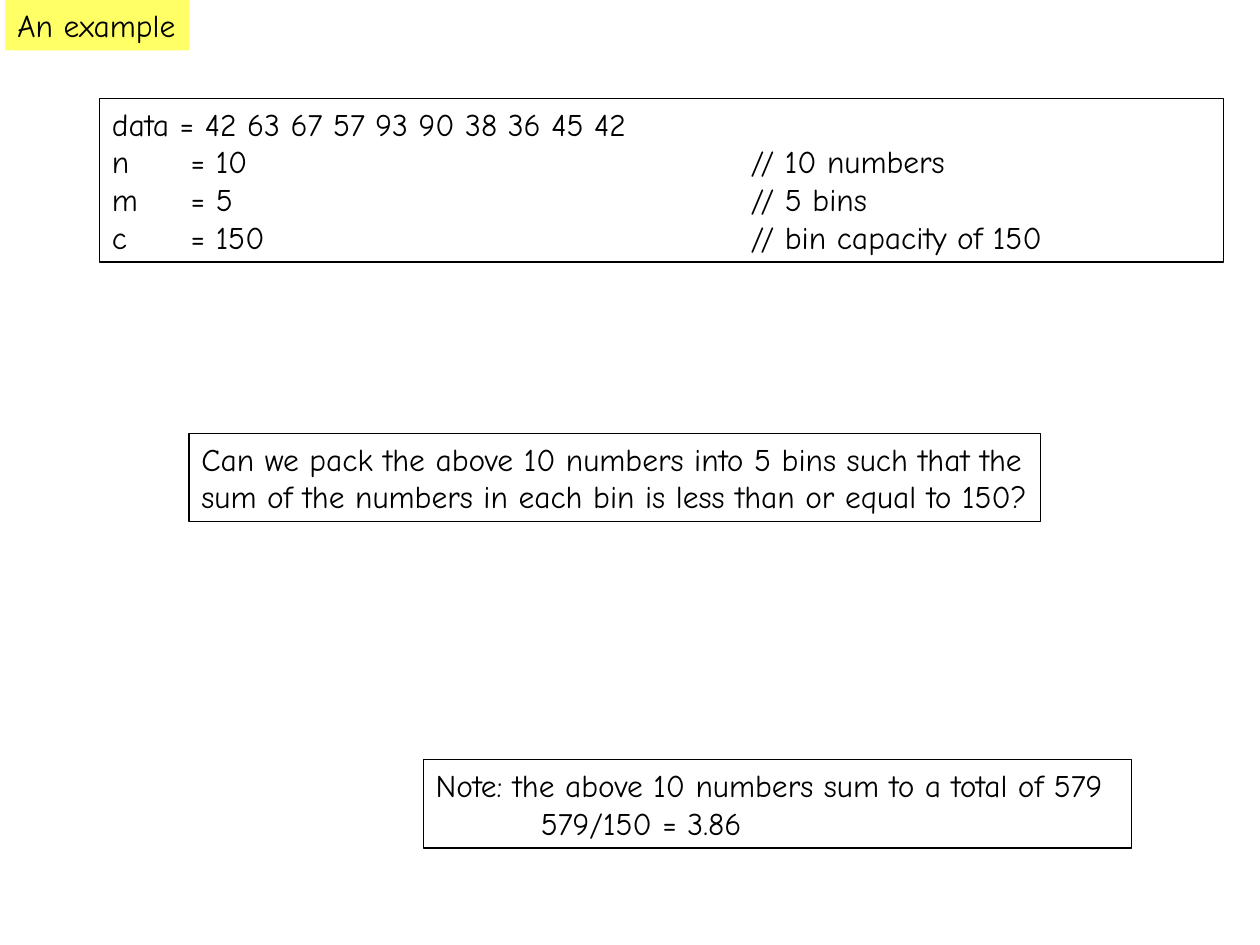
import pptx
import pptx.util
import pptx.dml.color
import pptx.enum.shapes
import pptx.enum.text
import pptx.oxml
import pptx.oxml.ns

Pt = pptx.util.Pt
FONT = "Comic Neue"
BLACK = "000000"
YELLOW = "FFFF66"


def color(value):
    return pptx.dml.color.RGBColor.from_string(value)


def add_tabs(p, stops):
    tabs = pptx.oxml.parse_xml(f"<a:tabLst {pptx.oxml.ns.nsdecls('a')}/>")
    for stop in stops:
        tab = tabs.makeelement(pptx.oxml.ns.qn("a:tab"), {"pos": str(Pt(stop)), "algn": "l"})
        tabs.append(tab)
    p._p.get_or_add_pPr().append(tabs)


def add_box(s, box, lines, fill=None, line=None, stops=()):
    sp = s.shapes.add_shape(pptx.enum.shapes.MSO_SHAPE.RECTANGLE, *map(Pt, box))
    sp.shadow.inherit = False
    if fill:
        sp.fill.solid()
        sp.fill.fore_color.rgb = color(fill)
    else:
        sp.fill.background()
    if line:
        sp.line.color.rgb = color(line)
        sp.line.width = Pt(0.75)
    else:
        sp.line.fill.background()
    tf = sp.text_frame
    tf.word_wrap = True
    tf.vertical_anchor = pptx.enum.text.MSO_ANCHOR.TOP
    tf.margin_left, tf.margin_right = Pt(7.2), Pt(0)
    tf.margin_top = tf.margin_bottom = Pt(3.6)
    for i, text in enumerate(lines):
        p = tf.add_paragraph() if i else tf.paragraphs[0]
        p.alignment = pptx.enum.text.PP_ALIGN.LEFT
        if stops:
            add_tabs(p, stops)
        r = p.add_run()
        r.text = text
        r.font.name = FONT
        r.font.size = Pt(18)
        r.font.color.rgb = color(BLACK)
    return tf


def add_title(s, box):
    add_box(s, box, ["An example"], fill=YELLOW)


def add_data(s, box):
    lines = [
        "data = 42 63 67 57 93 90 38 36 45 42",
        "n\t= 10\t// 10 numbers",
        "m\t= 5\t// 5 bins",
        "c\t= 150\t// bin capacity of 150",
    ]
    add_box(s, box, lines, line=BLACK, stops=(45, 365))


def add_question(s, box):
    lines = [
        "Can we pack the above 10 numbers into 5 bins such that the",
        "sum of the numbers in each bin is less than or equal to 150?",
    ]
    add_box(s, box, lines, line=BLACK)


def add_note(s, box):
    lines = ["Note: the above 10 numbers sum to a total of 579", "579/150 = 3.86"]
    tf = add_box(s, box, lines, line=BLACK)
    tf.paragraphs[1]._p.get_or_add_pPr().set("marL", str(Pt(60)))


def main():
    prs = pptx.Presentation()
    prs.slide_width, prs.slide_height = Pt(720), Pt(540)
    s = prs.slides.add_slide(prs.slide_layouts[6])
    add_data(s, (56.9, 56.2, 642.2, 93.6))
    add_question(s, (108, 247.7, 486.7, 50.4))
    add_note(s, (241.9, 434.2, 404.6, 50.4))
    add_title(s, (2.9, 0, 105.1, 28.8))
    prs.save("out.pptx")


if __name__ == "__main__":
    main()
